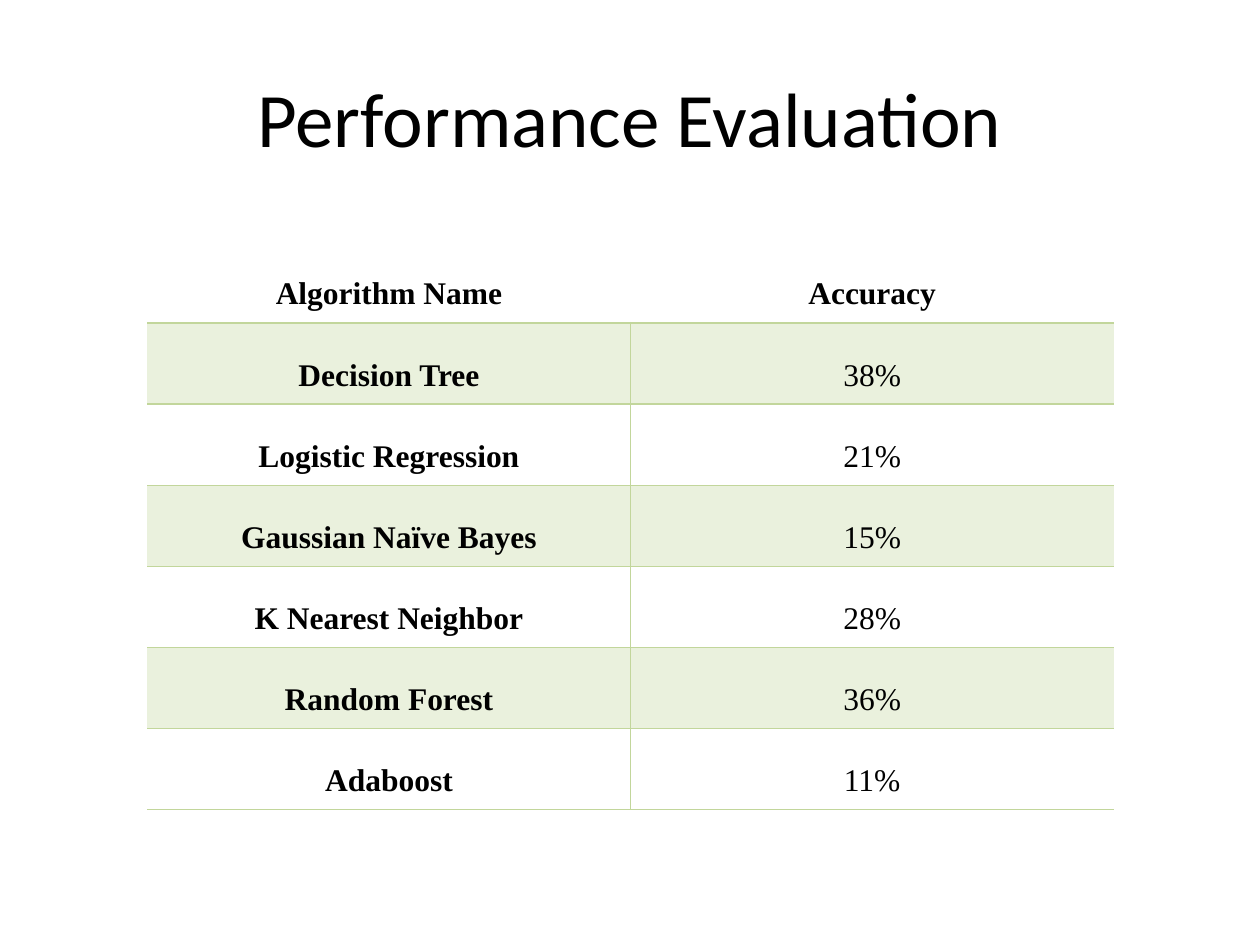
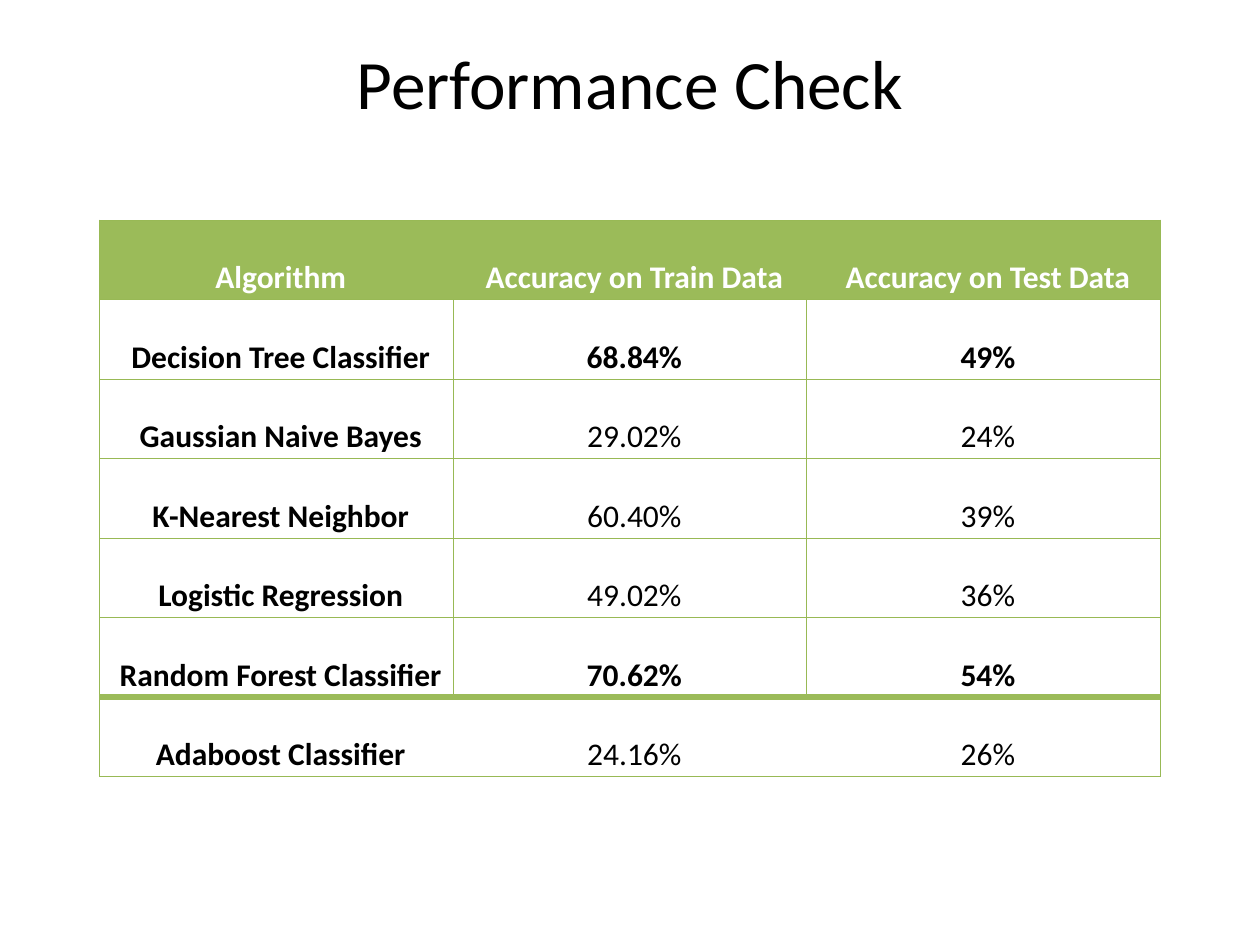
from dataclasses import dataclass
from typing import NamedTuple, Optional

from lxml.etree import SubElement
from pptx import Presentation
from pptx.dml.color import RGBColor
from pptx.enum.text import MSO_ANCHOR, MSO_AUTO_SIZE, PP_ALIGN
from pptx.oxml.ns import qn
from pptx.util import Inches, Pt

SLIDE_W, SLIDE_H = Inches(10), Inches(7.5)
SANS, SERIF = "Calibri", "Times New Roman"
BLACK, WHITE = "000000", "FFFFFF"
GREEN, EDGE_GREEN = "9BBB59", "98B955"
SOFT_GREEN, PALE_GREEN = "C2D69B", "EAF1DD"


class Box(NamedTuple):
    """Left, top, width and height as shares of the slide's size."""
    x: float
    y: float
    w: float
    h: float

    def emu(self) -> list[int]:
        sizes = (SLIDE_W, SLIDE_H, SLIDE_W, SLIDE_H)
        return [round(share * size) for share, size in zip(self, sizes)]


class Line(NamedTuple):
    color: str
    width: float


@dataclass(frozen=True)
class TableStyle:
    font: str
    header_fill: str
    header_color: str
    band_fill: str
    line: Line
    row_lines: dict[int, Optional[Line]]  # exceptions, by row boundary
    outer_sides: bool
    undivided_rows: tuple[int, ...]
    indent: float = 0
    space_before: float = 0


@dataclass(frozen=True)
class TableSlide:
    title: str
    title_box: Box
    title_size: float
    table_box: Box
    style: TableStyle
    rows: list[tuple[str, ...]]
    bold_rows: tuple[int, ...] = (0,)


BANDED = TableStyle(SERIF, WHITE, BLACK, PALE_GREEN, Line(SOFT_GREEN, 1),
                    {0: None, 1: Line(SOFT_GREEN, 1.5)}, False, (0,))
GRID = TableStyle(SANS, GREEN, WHITE, WHITE, Line(EDGE_GREEN, 0.75),
                  {6: Line(GREEN, 4)}, True, (0, 6), 0.07, 5.2)

SLIDES = [
    TableSlide(
        "Performance Evaluation", Box(0.05, 0.04, 0.9, 1 / 6), 44,
        Box(0.117, 0.256, 0.767, 0.601), BANDED,
        [("Algorithm Name", "Accuracy"),
         ("Decision Tree", "38%"),
         ("Logistic Regression", "21%"),
         ("Gaussian Naïve Bayes", "15%"),
         ("K Nearest Neighbor", "28%"),
         ("Random Forest", "36%"),
         ("Adaboost", "11%")]),
    TableSlide(
        "Performance Check", Box(0.05, 0.04, 0.9, 0.093), 39.6,
        Box(0.079, 0.233, 0.842, 0.589), GRID,
        [("Algorithm", "Accuracy on Train Data", "Accuracy on Test Data"),
         ("Decision Tree Classifier", "68.84%", "49%"),
         ("Gaussian Naive Bayes", "29.02%", "24%"),
         ("K-Nearest Neighbor", "60.40%", "39%"),
         ("Logistic Regression", "49.02%", "36%"),
         ("Random Forest Classifier", "70.62%", "54%"),
         ("Adaboost Classifier", "24.16%", "26%")],
        bold_rows=(0, 1, 5)),
]


def rgb(color: str) -> RGBColor:
    return RGBColor.from_string(color)


def write(tf, text: str, *, size: float, font: str = SANS, color: str = BLACK,
          bold: bool = False, spacing: Optional[float] = None,
          before: float = 0, indent: float = 0) -> None:
    p = tf.paragraphs[0]
    p.alignment = PP_ALIGN.CENTER
    p.space_before = Pt(before)
    if spacing:
        p.line_spacing = spacing
    if indent:
        p._p.get_or_add_pPr().set("marL", str(Inches(indent)))
    r = p.add_run()
    r.text = text
    r.font.name, r.font.size, r.font.bold = font, Pt(size), bold
    r.font.color.rgb = rgb(color)


def set_borders(cell, **lines: Optional[Line]) -> None:
    """Set the cell's L, R, T and B edges, in that order; None hides one."""
    tc_pr = cell._tc.get_or_add_tcPr()
    for side, line in lines.items():
        ln = SubElement(tc_pr, qn(f"a:ln{side}"))
        if line is None:
            ln.set("w", "0")
            SubElement(ln, qn("a:noFill"))
        else:
            ln.set("w", str(Pt(line.width)))
            solid = SubElement(ln, qn("a:solidFill"))
            SubElement(solid, qn("a:srgbClr")).set("val", line.color)


def add_title(s, content: TableSlide) -> None:
    title = s.shapes.title
    title.left, title.top, title.width, title.height = content.title_box.emu()
    tf = title.text_frame
    tf.auto_size = MSO_AUTO_SIZE.NONE
    tf.vertical_anchor = MSO_ANCHOR.MIDDLE
    write(tf, content.title, size=content.title_size)


def add_table(s, content: TableSlide) -> None:
    style, rows = content.style, content.rows
    n_rows, n_cols = len(rows), len(rows[0])
    box = content.table_box.emu()
    table = s.shapes.add_table(n_rows, n_cols, *box).table
    table.first_row = table.horz_banding = False

    def row_line(i: int) -> Optional[Line]:
        return style.row_lines.get(i, style.line)

    def column_line(i: int, row: int) -> Optional[Line]:
        if i in (0, n_cols):
            return style.line if style.outer_sides else None
        return None if row in style.undivided_rows else style.line

    for i, texts in enumerate(rows):
        table.rows[i].height = box[3] // n_rows
        fill = style.header_fill if i == 0 else style.band_fill if i % 2 else WHITE
        for j, text in enumerate(texts):
            cell = table.cell(i, j)
            cell.margin_left = cell.margin_right = Inches(0.07)
            cell.margin_top = cell.margin_bottom = 0
            set_borders(cell, L=column_line(j, i), R=column_line(j + 1, i),
                        T=row_line(i), B=row_line(i + 1))
            cell.fill.solid()
            cell.fill.fore_color.rgb = rgb(fill)
            write(cell.text_frame, text, size=18, font=style.font,
                  color=BLACK if i else style.header_color,
                  bold=j == 0 or i in content.bold_rows, spacing=2.0,
                  before=style.space_before, indent=style.indent)


def main() -> None:
    prs = Presentation()
    prs.slide_width, prs.slide_height = SLIDE_W, SLIDE_H
    title_only = prs.slide_layouts[5]
    for content in SLIDES:
        s = prs.slides.add_slide(title_only)
        add_title(s, content)
        add_table(s, content)
    prs.save("out.pptx")


if __name__ == "__main__":
    main()
